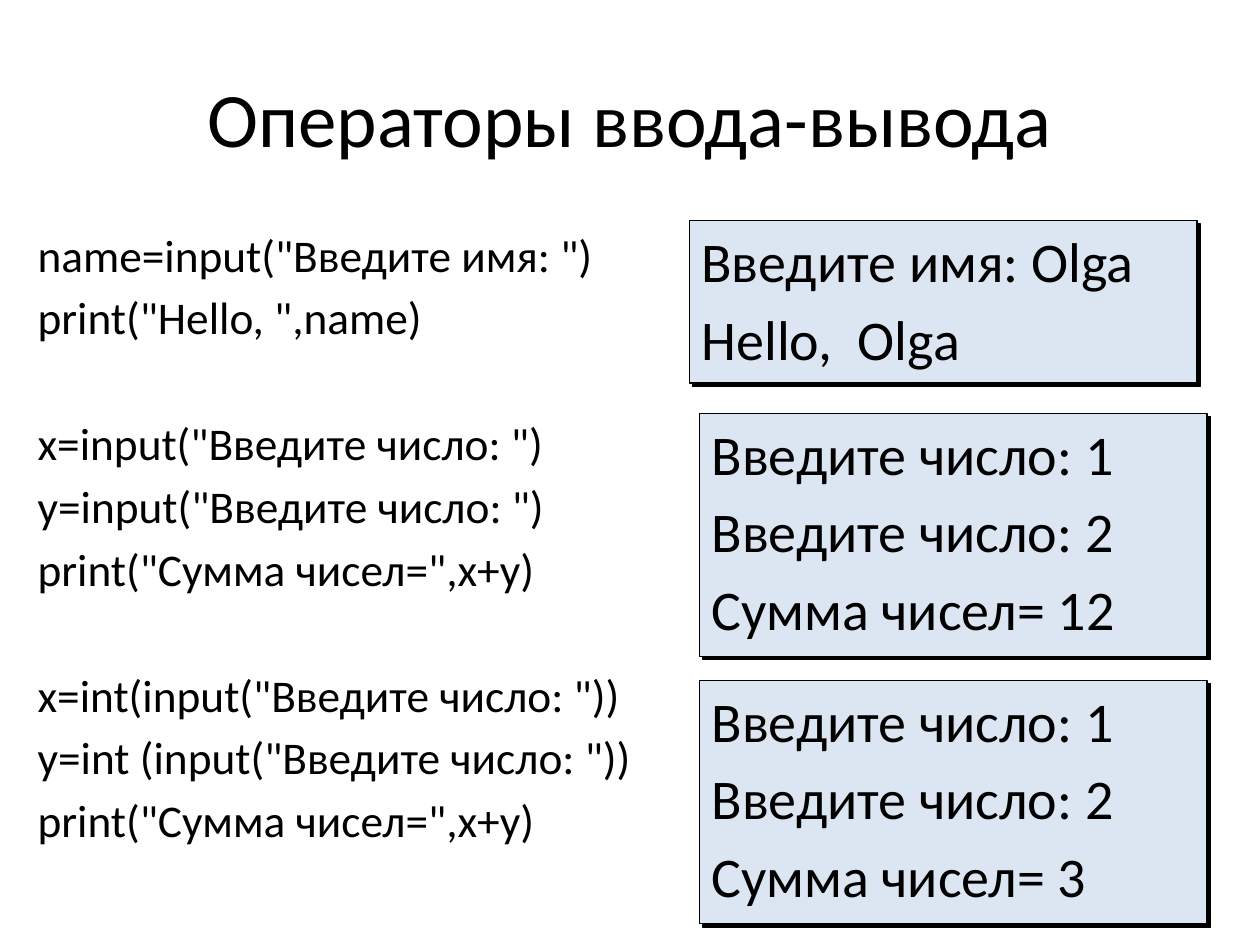
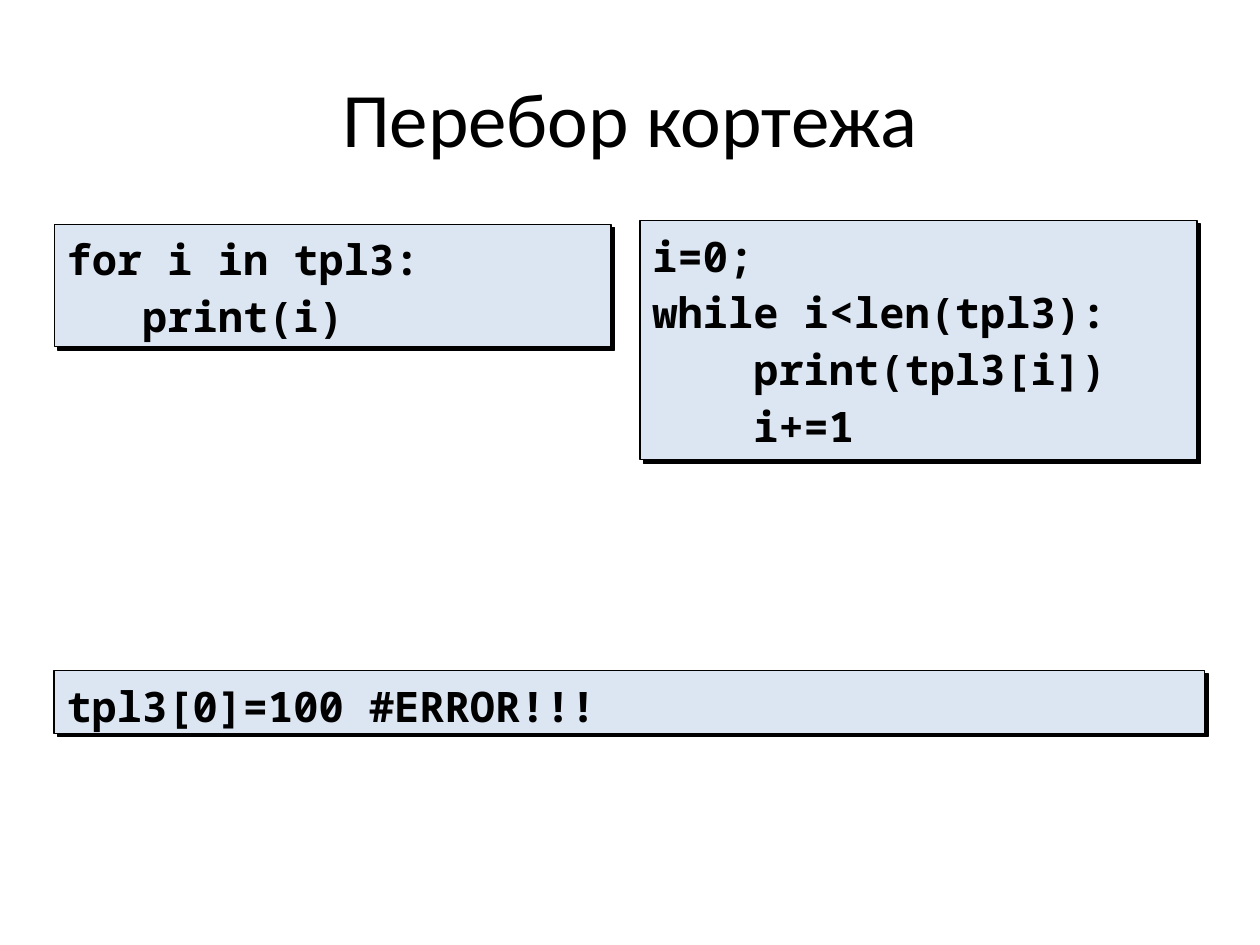
"""Build two slides about Python input/output and tuple iteration."""
from dataclasses import dataclass

from lxml import etree
from pptx import Presentation
from pptx.dml.color import RGBColor
from pptx.enum import shapes, text
from pptx.oxml import ns
from pptx.util import Inches, Pt


@dataclass(frozen=True)
class TextStyle:
    """Type settings of one kind of text."""
    size: float
    font: str = "Calibri"
    bold: bool = False
    gap: float = 0
    leading: float = 0


@dataclass(frozen=True)
class Theme:
    """Colours and text styles shared by the slides."""
    ink: RGBColor = RGBColor(0, 0, 0)
    panel: RGBColor = RGBColor(0xDC, 0xE6, 0xF2)
    title: TextStyle = TextStyle(44)
    listing: TextStyle = TextStyle(25.9, gap=4.7)
    output: TextStyle = TextStyle(32, gap=5.8)
    code: TextStyle = TextStyle(24, "Noto Sans Mono", True, 1.6, 30.8)


THEME = Theme()


def write(tf, groups, style, align=text.PP_ALIGN.LEFT):
    """Write groups of lines, leaving one line's height between groups."""
    tf.word_wrap = True
    tf.auto_size = text.MSO_AUTO_SIZE.NONE
    group_gap = style.size * 1.22 + 2 * style.gap
    lines = [(line, group_gap if i == 0 else style.gap)
             for group in groups for i, line in enumerate(group)]
    for i, (line, gap) in enumerate(lines):
        p = tf.add_paragraph() if i else tf.paragraphs[0]
        p.text = line
        p.alignment = align
        p.space_before = Pt(gap if i else 0)
        if style.leading:
            p.line_spacing = Pt(style.leading)
        p.font.name = style.font
        p.font.size = Pt(style.size)
        p.font.bold = style.bold
        p.font.color.rgb = THEME.ink


def add_text(s, left, top, width, height, groups, style, **options):
    """Add a plain text box and return its text frame."""
    sp = s.shapes.add_textbox(*map(Inches, (left, top, width, height)))
    write(sp.text_frame, groups, style, **options)
    return sp.text_frame


def add_hard_shadow(sp):
    """Give a shape a solid shadow to the lower right."""
    sp.shadow.inherit = False
    effects = sp._element.spPr.find(ns.qn("a:effectLst"))
    shadow = etree.SubElement(effects, ns.qn("a:outerShdw"), dist=str(Pt(2.8)),
                              dir="2700000", algn="ctr", rotWithShape="0")
    etree.SubElement(shadow, ns.qn("a:srgbClr"), val=str(THEME.ink))


def add_panel(s, left, top, width, height, lines, style):
    """Add a shaded, outlined panel holding lines of text."""
    sp = s.shapes.add_shape(shapes.MSO_SHAPE.RECTANGLE,
                            *map(Inches, (left, top, width, height)))
    sp.fill.solid()
    sp.fill.fore_color.rgb = THEME.panel
    sp.line.color.rgb = THEME.ink
    sp.line.width = Pt(0.75)
    add_hard_shadow(sp)
    sp.text_frame.vertical_anchor = text.MSO_ANCHOR.TOP
    write(sp.text_frame, [lines], style)


def add_titled_slide(prs, title):
    """Add a blank slide with a centred title."""
    s = prs.slides.add_slide(prs.slide_layouts[6])
    tf = add_text(s, 0.5, 0.3, 9, 1.25, [[title]], THEME.title,
                  align=text.PP_ALIGN.CENTER)
    tf.vertical_anchor = text.MSO_ANCHOR.MIDDLE
    return s


def build_input_output(prs):
    """Build the slide pairing input/output code with its results."""
    s = add_titled_slide(prs, "Операторы ввода-вывода")
    add_text(s, 0.2, 1.75, 4.96, 4.95, [
        ['name=input("Введите имя: ")', 'print("Hello, ",name)'],
        ['x=input("Введите число: ")', 'y=input("Введите число: ")',
         'print("Сумма чисел=",x+y)'],
        ['x=int(input("Введите число: "))', 'y=int (input("Введите число: "))',
         'print("Сумма чисел=",x+y)'],
    ], THEME.listing)
    add_panel(s, 5.47, 1.75, 4.03, 1.29,
              ["Введите имя: Olga", "Hello,  Olga"], THEME.output)
    for top, total in ((3.28, 12), (5.4, 3)):
        add_panel(s, 5.55, top, 4.03, 1.93,
                  ["Введите число: 1", "Введите число: 2",
                   f"Сумма чисел= {total}"], THEME.output)


def build_tuple_loops(prs):
    """Build the slide with ways to iterate over a tuple."""
    s = add_titled_slide(prs, "Перебор кортежа")
    add_panel(s, 0.43, 1.78, 4.42, 0.97,
              ["for i in tpl3:", "   print(i)"], THEME.code)
    add_panel(s, 5.08, 1.75, 4.42, 1.9,
              ["i=0;", "while i<len(tpl3):", "    print(tpl3[i])", "    i+=1"],
              THEME.code)
    add_panel(s, 0.43, 5.32, 9.13, 0.5, ["tpl3[0]=100 #ERROR!!!"], THEME.code)


def main():
    """Create and save the presentation."""
    prs = Presentation()
    prs.slide_width, prs.slide_height = Inches(10), Inches(7.5)
    build_input_output(prs)
    build_tuple_loops(prs)
    prs.save("out.pptx")


if __name__ == "__main__":
    main()
